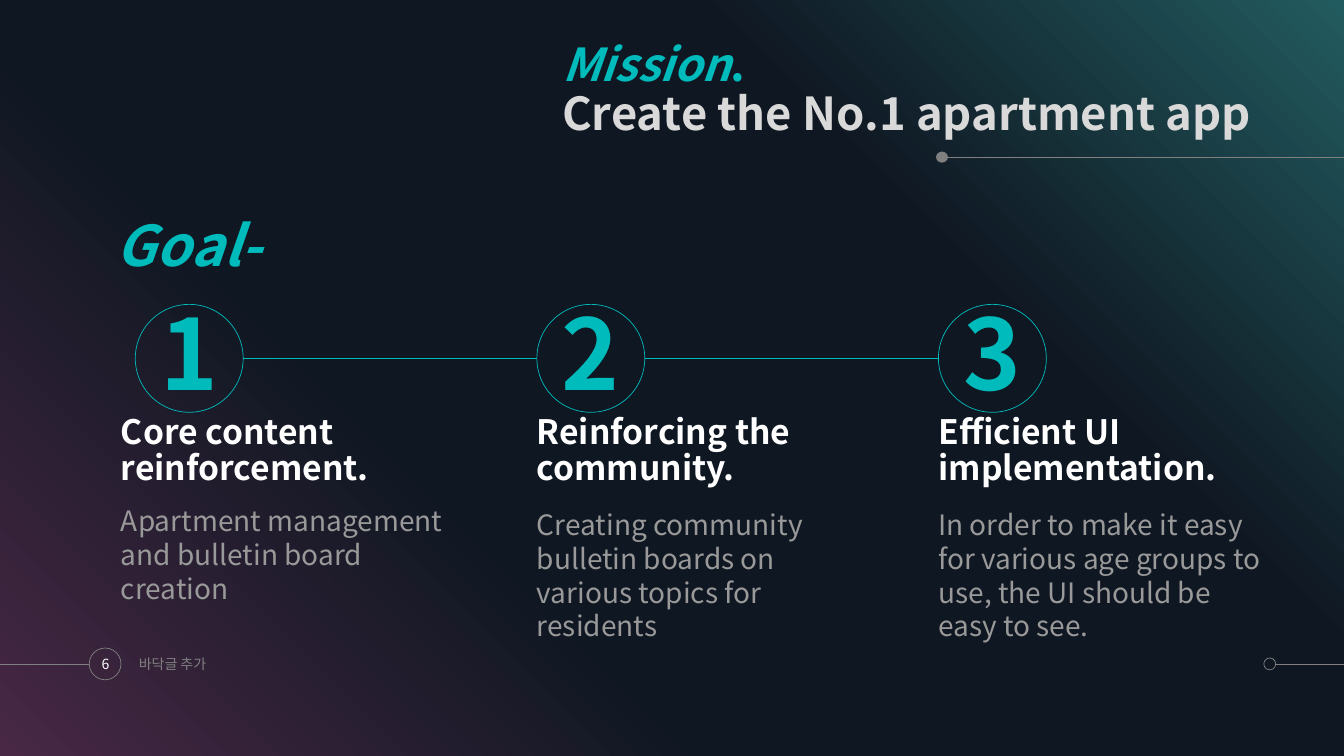
from lxml import etree
from pptx import Presentation
from pptx import util as u
from pptx.dml.color import RGBColor
from pptx.enum import shapes, text
from pptx.oxml.ns import qn

FONT = "Noto Sans CJK KR"
COLORS = {
    "black": "000000", "plum": "482845", "navy": "0F1722", "pine": "225B5F",
    "teal": "00BBBB", "grey": "808080", "soft": "999999", "pale": "D9D9D9",
    "white": "FFFFFF",
}
BACKDROP_STOPS = [(0, "plum"), (34, "navy"), (69, "navy"), (100, "pine")]
WIDTH, HEIGHT = 33.87, 19.05
GOAL_PITCH = 10.12
CIRCLE = 2.72
GOALS = [
    ("1", "Core content reinforcement.",
     "Apartment management and bulletin board creation", -0.36, 12.7),
    ("2", "Reinforcing the community.",
     "Creating community bulletin boards on various topics for residents", 0, 12.8),
    ("3", "Efficient UI implementation.",
     "In order to make it easy for various age groups to use, "
     "the UI should be easy to see.", 0, 12.8),
]


def rgb(name):
    return RGBColor.from_string(COLORS[name])


def lengths(*values):
    return [u.Cm(value) for value in values]


def write(holder, runs, size, color="white", bold=False, italic=False,
          align="LEFT", anchor="TOP", spacing=None, before=0, inset=0):
    frame = holder.text_frame
    frame.word_wrap = True
    frame.vertical_anchor = getattr(text.MSO_ANCHOR, anchor)
    frame.margin_left = frame.margin_right = u.Cm(inset)
    frame.margin_top = frame.margin_bottom = u.Cm(inset / 2)
    paragraph = frame.paragraphs[0]
    paragraph.alignment = getattr(text.PP_ALIGN, align)
    paragraph.space_before = u.Pt(before)
    if spacing:
        paragraph.line_spacing = spacing
    if isinstance(runs, str):
        runs = [(runs, color, italic)]
    for wording, run_color, slanted in runs:
        if wording == "\n":
            paragraph.add_line_break()
            continue
        run = paragraph.add_run()
        run.text = wording
        run.font.size = u.Pt(size)
        run.font.name = FONT
        run.font.bold = bold
        run.font.italic = slanted
        run.font.color.rgb = rgb(run_color)
        east_asian = etree.SubElement(run.font._element, qn("a:ea"))
        east_asian.set("typeface", FONT)


def label(slide, box, runs, size, **style):
    write(slide.shapes.add_textbox(*lengths(*box)), runs, size, **style)


def rule(slide, x1, y1, x2, y2, color):
    line = slide.shapes.add_connector(
        shapes.MSO_CONNECTOR.STRAIGHT, *lengths(x1, y1, x2, y2))
    line.line.color.rgb = rgb(color)
    line.line.width = u.Pt(0.5)
    etree.SubElement(line._element.spPr, qn("a:effectLst"))


def ring(slide, box, color, solid=False):
    circle = slide.shapes.add_shape(shapes.MSO_SHAPE.OVAL, *lengths(*box))
    circle.shadow.inherit = False
    if solid:
        circle.fill.solid()
        circle.fill.fore_color.rgb = rgb(color)
        circle.line.fill.background()
    else:
        circle.fill.background()
        circle.line.color.rgb = rgb(color)
        circle.line.width = u.Pt(0.5)
    return circle


def draw_backdrop(slide, box):
    slide.background.fill.solid()
    slide.background.fill.fore_color.rgb = rgb("black")
    backdrop = slide.shapes.add_shape(shapes.MSO_SHAPE.RECTANGLE, *lengths(*box))
    backdrop.shadow.inherit = False
    backdrop.line.fill.background()
    backdrop.fill.gradient()
    backdrop.fill.gradient_angle = 45
    stops = backdrop._element.spPr.find(".//" + qn("a:gsLst"))
    for stop in list(stops):
        stops.remove(stop)
    for position, color in BACKDROP_STOPS:
        stop = etree.SubElement(stops, qn("a:gs"), pos=str(position * 1000))
        etree.SubElement(stop, qn("a:srgbClr"), val=COLORS[color])


def draw_mission(slide, box):
    left, top, width, height = box
    label(slide, box,
          [("Mission", "teal", True), (".", "teal", False), ("\n", None, None),
           ("Create the No.1 apartment app", "pale", False)],
          32.4, bold=True, anchor="BOTTOM", spacing=0.9)
    rule_y = top + height + 0.42
    rule(slide, left + 9.48, rule_y, WIDTH, rule_y, "grey")
    ring(slide, (left + 9.42, rule_y - 0.14, 0.3, 0.28), "grey", solid=True)


def draw_goal(slide, box, goal):
    left, top, width, height = box
    number, heading, detail, text_shift, detail_top = goal
    circle = ring(slide, (left, top, CIRCLE, CIRCLE), "teal")
    write(circle, number, 70, color="teal", bold=True, align="CENTER",
          anchor="MIDDLE", spacing=0.9, before=10)
    text_left = left + text_shift
    label(slide, (text_left, top + 3.71, width, 0.91), heading, 24,
          bold=True, anchor="BOTTOM", spacing=0.9, before=6)
    label(slide, (text_left, detail_top, width, top + height - detail_top),
          detail, 20, color="soft", before=6)


def draw_goals(slide, box):
    left, top, width, height = box
    label(slide, (left - 0.74, top - 2.49, 4.85, 1.96), "Goal-", 40,
          color="teal", bold=True, italic=True, inset=0.25)
    for index, goal in enumerate(GOALS):
        goal_left = left + index * GOAL_PITCH
        draw_goal(slide, (goal_left, top, 8.18, height), goal)
        if index:
            line_y = top + CIRCLE / 2 + 0.01
            rule(slide, goal_left - GOAL_PITCH + CIRCLE, line_y,
                 goal_left, line_y, "teal")


def draw_footer(slide, box):
    left, top, width, height = box
    middle = top + height / 2
    rule(slide, left, middle, left + 2.24, middle, "grey")
    ring(slide, (left + 2.25, middle - 0.4, 0.8, 0.8), "grey")
    ring(slide, (left + width - 2.02, middle - 0.15, 0.3, 0.3), "grey")
    rule(slide, left + width - 1.71, middle, left + width, middle, "grey")
    label(slide, (left + 2.16, top, 1, height), "6", 10,
          align="CENTER", anchor="MIDDLE", inset=0.25)
    label(slide, (left + 3.25, top, 8.1, height), "바닥글 추가", 10,
          color="grey", anchor="MIDDLE", inset=0.25)


def main():
    deck = Presentation()
    deck.slide_width, deck.slide_height = lengths(WIDTH, HEIGHT)
    slide = deck.slides.add_slide(deck.slide_layouts[6])
    draw_backdrop(slide, (0, 0, WIDTH, HEIGHT))
    draw_mission(slide, (14.17, 1.96, 17.53, 1.58))
    draw_goals(slide, (3.41, 7.67, 28.42, 9.07))
    draw_footer(slide, (0, 16.31, WIDTH, 0.84))
    deck.save("out.pptx")


if __name__ == "__main__":
    main()
